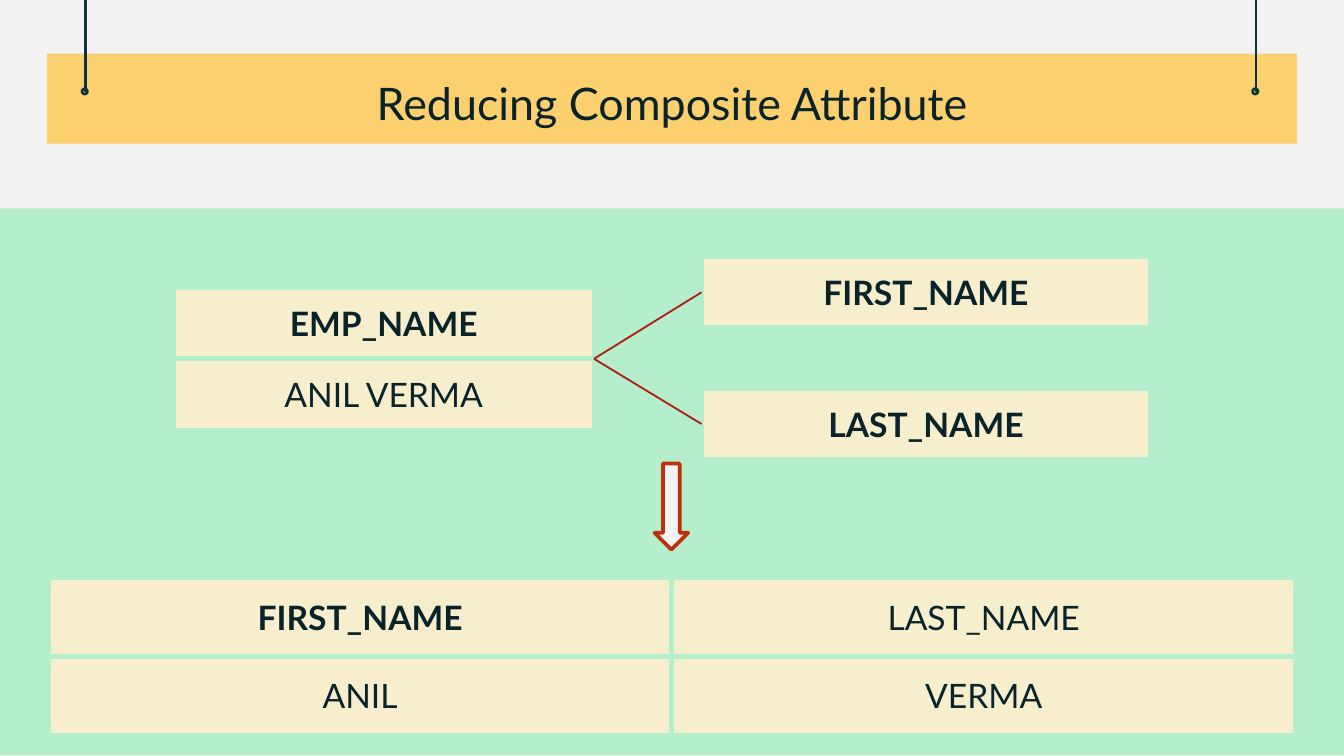
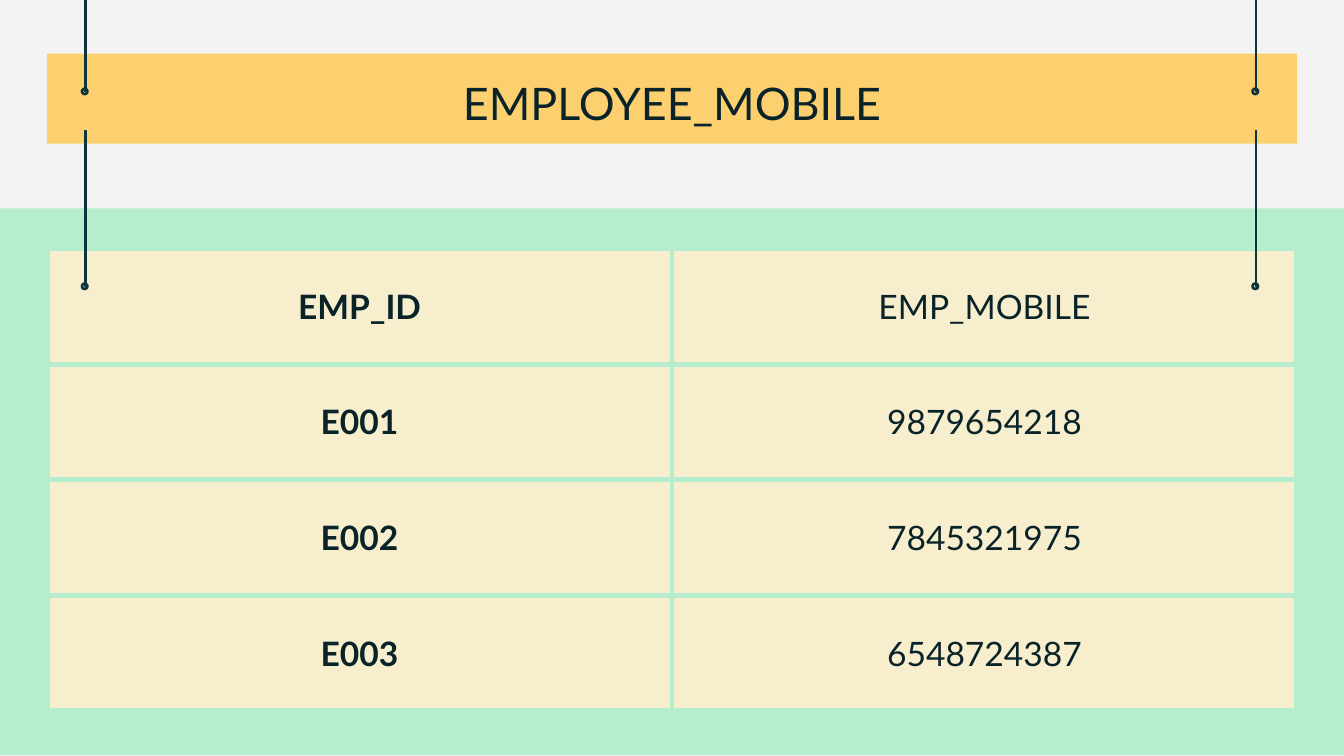
"""Build two slides on reducing composite attributes to relational tables."""
from dataclasses import dataclass

from lxml import etree
from pptx import Presentation
from pptx import util as u
from pptx.dml.color import RGBColor
from pptx.enum import shapes, text
from pptx.oxml.ns import qn

PAPER = RGBColor(0xF3, 0xF3, 0xF3)
MINT = RGBColor(0xB5, 0xEE, 0xCC)
YELLOW = RGBColor(0xFC, 0xD0, 0x6F)
CREAM = RGBColor(0xF7, 0xEE, 0xCE)
TEAL = RGBColor(0x0C, 0x34, 0x3D)
INK = RGBColor(0x09, 0x23, 0x29)
RED = RGBColor(0xAD, 0x20, 0x17)
ORANGE = RGBColor(0xBF, 0x2F, 0x0C)
FONT = "Lato"
INSET = u.Inches(0.1)
BORDER = u.Pt(3)
PIN_SIZE = 0.05


@dataclass(frozen=True)
class Box:
    """A place on the slide, in inches."""
    left: float
    top: float
    width: float
    height: float

    def emu(self) -> tuple:
        """Return the four lengths for python-pptx."""
        return tuple(u.Inches(v) for v in (self.left, self.top, self.width, self.height))


@dataclass(frozen=True)
class Grid:
    """A table with equal columns and rows; the named cells are bold."""
    box: Box
    rows: tuple
    bold: tuple


@dataclass(frozen=True)
class Wire:
    """A hanging wire with a ring at its lower end."""
    x: float
    top: float
    bottom: float


BAND = Box(-0.03, 1.55, 10.05, 4.07)
TITLE_BAR = Box(0.35, 0.4, 9.3, 0.67)
TITLE_BOX = Box(1.5, 0.46, 7, 0.63)
ARROW = Box(4.87, 3.45, 0.25, 0.64)
TITLE_WIRES = (Wire(0.63, 0, 0.68), Wire(9.34, 0, 0.68))
TABLE_WIRES = (Wire(0.63, 0.97, 2.13), Wire(9.34, 0.97, 2.13))

RESULT = Grid(Box(0.36, 4.3, 9.28, 1.17),
              (("FIRST_NAME", "LAST_NAME"), ("ANIL", "VERMA")), ("FIRST_NAME",))
COMPOSITE = Grid(Box(1.29, 2.14, 3.13, 1.06),
                 (("EMP_NAME",), ("ANIL VERMA",)), ("EMP_NAME",))
PARTS = tuple(Grid(Box(5.22, top, 3.34, 0.53), ((name,),), (name,))
              for name, top in (("FIRST_NAME", 1.91), ("LAST_NAME", 2.89)))
MOBILES = Grid(Box(0.35, 1.85, 9.3, 3.44),
               (("EMP_ID", "EMP_MOBILE"), ("E001", "9879654218"),
                ("E002", "7845321975"), ("E003", "6548724387")),
               ("EMP_ID", "E001", "E002", "E003"))


def add_box(s, kind, box: Box, fill: RGBColor, line: RGBColor = None, weight: float = 0.75):
    """Add a preset shape with a flat fill and an optional outline."""
    sp = s.shapes.add_shape(kind, *box.emu())
    sp.shadow.inherit = False
    sp.fill.solid()
    sp.fill.fore_color.rgb = fill
    if line is None:
        sp.line.fill.background()
    else:
        sp.line.color.rgb = line
        sp.line.width = u.Pt(weight)
    return sp


def add_wire(s, wire: Wire) -> None:
    """Draw one wire and its ring."""
    line = Box(wire.x, wire.top, 0.01, wire.bottom - wire.top)
    add_box(s, shapes.MSO_SHAPE.RECTANGLE, line, TEAL, TEAL)
    half = PIN_SIZE / 2
    pin = Box(wire.x - half, wire.bottom - half, PIN_SIZE, PIN_SIZE)
    ring = add_box(s, shapes.MSO_SHAPE.DONUT, pin, TEAL, TEAL)
    ring.adjustments[0] = 0.2


def write(tf, words: str, size: int, bold: bool) -> None:
    """Write one centred line with even margins."""
    tf.margin_left = tf.margin_right = tf.margin_top = tf.margin_bottom = INSET
    p = tf.paragraphs[0]
    p.alignment = text.PP_ALIGN.CENTER
    r = p.add_run()
    r.text = words
    r.font.name = FONT
    r.font.size = u.Pt(size)
    r.font.bold = bold
    r.font.color.rgb = INK


def add_borders(frame) -> None:
    """Give every cell of a table the same four borders."""
    for tc in frame.element.iter(qn("a:tc")):
        tc_pr = tc.get_or_add_tcPr()
        for i, side in enumerate(("lnL", "lnR", "lnT", "lnB")):
            ln = etree.Element(qn(f"a:{side}"), w=str(BORDER))
            solid = etree.SubElement(ln, qn("a:solidFill"))
            etree.SubElement(solid, qn("a:srgbClr"), val=str(MINT))
            tc_pr.insert(i, ln)


def add_grid(s, grid: Grid):
    """Add a table and return its frame."""
    n_rows, n_cols = len(grid.rows), len(grid.rows[0])
    frame = s.shapes.add_table(n_rows, n_cols, *grid.box.emu())
    table = frame.table
    table.first_row = table.horz_banding = False
    for i, row in enumerate(grid.rows):
        for j, words in enumerate(row):
            cell = table.cell(i, j)
            cell.fill.solid()
            cell.fill.fore_color.rgb = CREAM
            cell.vertical_anchor = text.MSO_ANCHOR.MIDDLE
            cell.margin_left = cell.margin_right = INSET
            cell.margin_top = cell.margin_bottom = INSET
            write(cell.text_frame, words, 18, words in grid.bold)
    add_borders(frame)
    return frame


def add_branch(s, start, end) -> None:
    """Join the right side of one table to the left side of another."""
    line = s.shapes.add_connector(shapes.MSO_CONNECTOR.STRAIGHT, 0, 0, 0, 0)
    line.begin_connect(start, 3)
    line.end_connect(end, 1)
    line.line.color.rgb = RED
    line.line.width = u.Pt(1)
    etree.SubElement(line.element.spPr, qn("a:effectLst"))


def add_slide(prs, title: str):
    """Add a slide with the shared background, bands, wires and title."""
    s = prs.slides.add_slide(prs.slide_layouts[5])
    s.background.fill.solid()
    s.background.fill.fore_color.rgb = PAPER
    add_box(s, shapes.MSO_SHAPE.RECTANGLE, BAND, MINT)
    add_box(s, shapes.MSO_SHAPE.RECTANGLE, TITLE_BAR, YELLOW)
    for wire in TITLE_WIRES:
        add_wire(s, wire)
    sp = s.shapes.title
    sp.left, sp.top, sp.width, sp.height = TITLE_BOX.emu()
    tf = sp.text_frame
    tf.word_wrap = True
    tf.auto_size = text.MSO_AUTO_SIZE.NONE
    tf.vertical_anchor = text.MSO_ANCHOR.TOP
    write(tf, title, 24, False)
    s.shapes.element.append(sp.element)
    return s


def build_composite(prs) -> None:
    """Show a composite attribute split into two columns."""
    s = add_slide(prs, "Reducing Composite Attribute")
    add_grid(s, RESULT)
    composite = add_grid(s, COMPOSITE)
    for part in [add_grid(s, grid) for grid in PARTS]:
        add_branch(s, composite, part)
    add_box(s, shapes.MSO_SHAPE.DOWN_ARROW, ARROW, PAPER, ORANGE, 2)


def build_mobiles(prs) -> None:
    """Show the table of employee mobile numbers."""
    s = add_slide(prs, "EMPLOYEE_MOBILE")
    add_grid(s, MOBILES)
    for wire in TABLE_WIRES:
        add_wire(s, wire)


def main() -> None:
    """Build and save the presentation."""
    prs = Presentation()
    prs.slide_width = u.Inches(10)
    prs.slide_height = prs.slide_width * 9 // 16
    build_composite(prs)
    build_mobiles(prs)
    prs.save("out.pptx")


if __name__ == "__main__":
    main()
